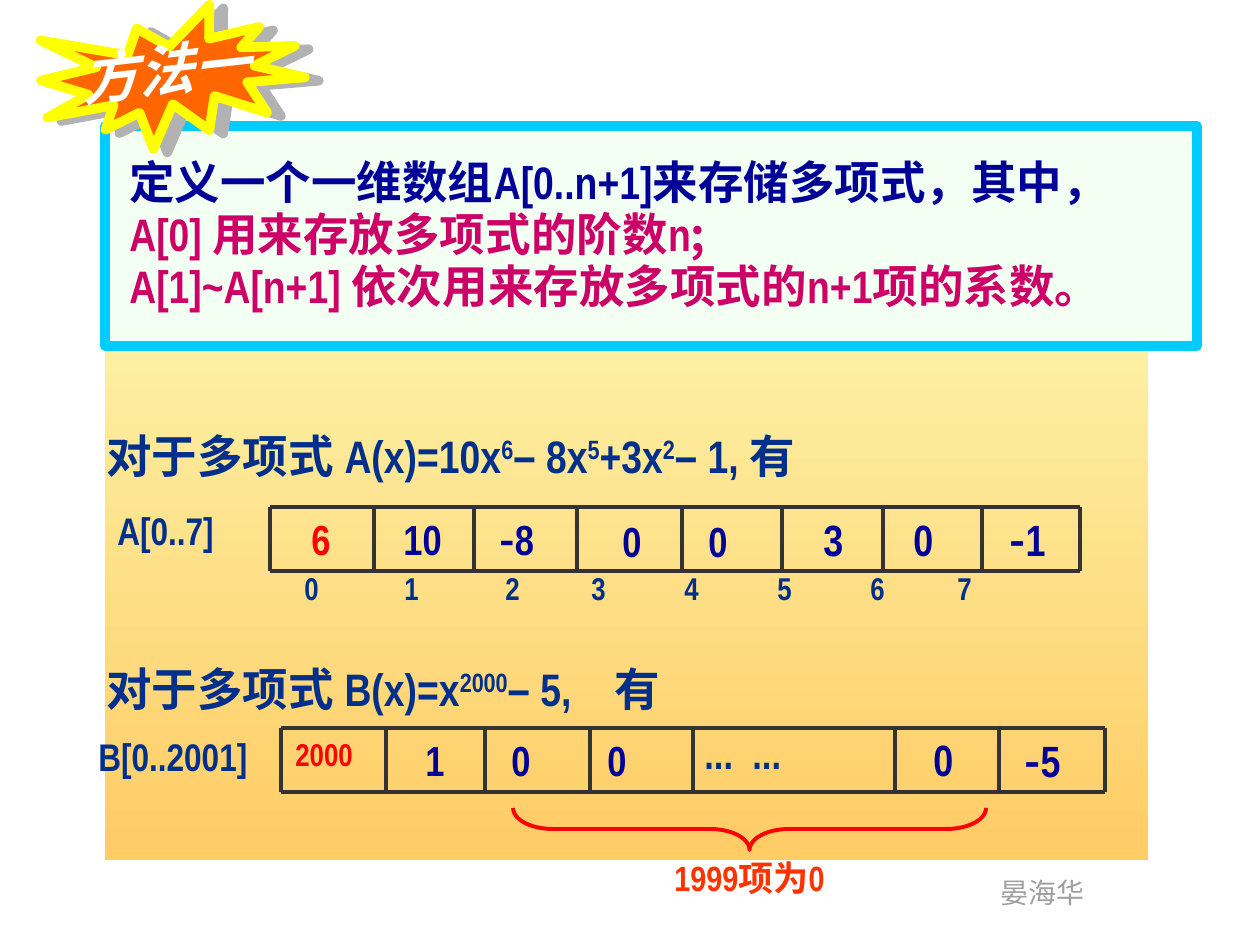
from itertools import groupby

from lxml.etree import SubElement, fromstring
from pptx import Presentation
from pptx.dml.color import RGBColor
from pptx.enum.shapes import MSO_CONNECTOR as Connector, MSO_SHAPE as Shape
from pptx.oxml.ns import nsdecls, qn
from pptx.util import Emu, Pt

SCALE = 914400 / 126
LATIN, CJK = "Arial Narrow", "Noto Sans CJK SC"

WHITE = RGBColor(0xFF, 0xFF, 0xFF)
NAVY = RGBColor(0x00, 0x00, 0x99)
BLUE = RGBColor(0x00, 0x2F, 0x8C)
CRIMSON = RGBColor(0xCC, 0x00, 0x66)
RED = RGBColor(0xFF, 0x00, 0x00)
VERMILION = RGBColor(0xFF, 0x33, 0x00)
ORANGE = RGBColor(0xFF, 0x66, 0x00)
YELLOW = RGBColor(0xFF, 0xFF, 0x00)
CYAN = RGBColor(0x00, 0xCC, 0xFF)
MINT = RGBColor(0xF3, 0xFF, 0xF3)
PALE_YELLOW = RGBColor(0xFC, 0xFE, 0xBC)
SAND = RGBColor(0xFF, 0xCC, 0x66)
INK = RGBColor(0x33, 0x33, 0x33)
GREY = RGBColor(0x9F, 0x9F, 0x9F)


def px(value):
    return Emu(round(value * SCALE))


def shadow_effect(color, distance, angle):
    return fromstring(
        f'<a:effectLst {nsdecls("a")}><a:outerShdw dist="{Pt(distance)}" '
        f'dir="{angle * 60000}" algn="ctr" rotWithShape="0">'
        f'<a:srgbClr val="{color}"/></a:outerShdw></a:effectLst>')


def add_shape(slide, kind, left, top, width, height, fill=None, line=None, weight=0):
    shape = slide.shapes.add_shape(kind, px(left), px(top), px(width), px(height))
    shape.shadow.inherit = False
    if fill is None:
        shape.fill.background()
    else:
        shape.fill.solid()
        shape.fill.fore_color.rgb = fill
    if line is None:
        shape.line.fill.background()
    else:
        shape.line.color.rgb = line
        shape.line.width = Pt(weight)
    return shape


def add_line(slide, x1, y1, x2, y2):
    line = slide.shapes.add_connector(Connector.STRAIGHT, px(x1), px(y1), px(x2), px(y2))
    line.line.color.rgb = INK
    line.line.width = Pt(2)
    SubElement(line._element.spPr, qn("a:effectLst"))


def run_style(character):
    """Font of a character, and whether it is an enlarged dash."""
    font = CJK if character > "\u2e80" or character in "-;" else LATIN
    return font, character == "–"


def fill_paragraph(paragraph, text, size, color, bold=True, tabs=()):
    """Write text; the parts between bars are superscript."""
    if tabs:
        tab_list = SubElement(paragraph._p.get_or_add_pPr(), qn("a:tabLst"))
        for tab in tabs:
            SubElement(tab_list, qn("a:tab"), pos=str(px(tab)), algn="l")
    for index, part in enumerate(text.split("|")):
        for (font, is_dash), characters in groupby(part, run_style):
            run = paragraph.add_run()
            run.text = "".join(characters)
            run.font.size = Pt(size + 2 if is_dash else size)
            run.font.bold = bold
            run.font.color.rgb = color
            run.font.name = font
            properties = run._r.get_or_add_rPr()
            SubElement(properties, qn("a:ea"), typeface=font)
            if index % 2:
                properties.set("baseline", "30000")


def add_text(slide, left, top, width, height, text, size, color, bold=True, tabs=()):
    box = slide.shapes.add_textbox(px(left), px(top), px(width), px(height))
    box.text_frame.word_wrap = True
    fill_paragraph(box.text_frame.paragraphs[0], text, size, color, bold, tabs)
    return box


def add_background(slide, left, top, width, height):
    panel = add_shape(slide, Shape.RECTANGLE, left, top, width, height, SAND)
    panel.fill.gradient()
    panel.fill.gradient_angle = 270
    for stop, color, position in zip(panel.fill.gradient_stops, (PALE_YELLOW, SAND), (0, 1)):
        stop.color.rgb = color
        stop.position = position
    add_text(slide, left + 883, top + 730, 130, 47, "晏海华", 16, GREY, bold=False)


def add_definition(slide, left, top, width, height):
    add_shape(slide, Shape.RECTANGLE, left, top, width, height, MINT, CYAN, 5.5)
    lines = (("定义一个一维数组A[0..n+1]来存储多项式，其中，", NAVY),
             ("A[0] 用来存放多项式的阶数n;", CRIMSON),
             ("A[1]~A[n+1] 依次用来存放多项式的n+1项的系数。", CRIMSON))
    box = slide.shapes.add_textbox(px(left - 8), px(top + 26), px(width - 2), px(170))
    frame = box.text_frame
    frame.word_wrap = True
    for index, (text, color) in enumerate(lines):
        paragraph = frame.add_paragraph() if index else frame.paragraphs[0]
        paragraph._p.get_or_add_pPr().set("marL", str(px(20)))
        paragraph.line_spacing = 0.95
        fill_paragraph(paragraph, text, 26, color)


def add_badge(slide, left, top, width, height):
    star = add_shape(slide, Shape.EXPLOSION1, left, top, width, height, ORANGE, YELLOW, 5.5)
    star.rotation = 352.9
    properties = star._element.spPr
    properties.remove(properties.find(qn("a:effectLst")))
    properties.append(shadow_effect("B2B2B2", 8.2, 14))
    title = add_text(slide, left + 26, top + 13, 315, 81, "方法一", 32, WHITE)
    title.rotation = 353.6
    run = title.text_frame.paragraphs[0].runs[0]
    run.font.italic = True
    run._r.get_or_add_rPr().insert(1, shadow_effect("000000", 2.5, 45))


def add_array(slide, left, top, width, height, dividers, values):
    """Cell borders, then values as (x, y, width, text, size, color, tabs)."""
    for y in (top, top + height):
        add_line(slide, left, y, left + width, y)
    for x in (0, *dividers, width):
        add_line(slide, left + x, top, left + x, top + height)
    for x, y, text_width, text, size, color, tabs in values:
        add_text(slide, left + x, top + y, text_width, 64, text, size, color, tabs=tabs)


def add_array_a(slide, left, top, width, height):
    add_text(slide, left - 176, top - 89, 829, 72,
             "对于多项式 A(x)=10x|6|– 8x|5|+3x|2|– 1, 有", 26, BLUE)
    add_array(slide, left, top, width, height, (104, 204, 307, 412, 512, 613, 712), (
        (-165, -6, 169, "A[0..7]", 22, BLUE, ()),
        (29, 0, 79, "6", 24, RED, ()),
        (121, 0, 265, "10\t-8", 24, NAVY, (96,)),
        (340, 2, 228, "0\t0", 24, NAVY, (86,)),
        (541, 0, 179, "3\t0", 25, NAVY, (90,)),
        (727, 0, 164, "-1", 25, NAVY, ()),
        (22, 56, 824, "\t".join("01234567"), 18, BLUE,
         (100, 201, 287, 380, 473, 566, 653))))


def add_array_b(slide, left, top, width, height):
    add_text(slide, left - 187, top - 77, 693, 72,
             "对于多项式 B(x)=x|2000|– 5,\t有", 26, BLUE, tabs=(508,))
    add_array(slide, left, top, width, height, (105, 204, 309, 412, 614, 718), (
        (-195, -1, 297, "B[0..2001]", 22, BLUE, ()),
        (2, 1, 193, "2000", 18, RED, ()),
        (132, 0, 328, "1\t0\t0", 24, NAVY, (86, 182)),
        (411, -7, 212, "...\t...", 24, BLUE, (48,)),
        (640, -1, 179, "0", 25, NAVY, ()),
        (731, 0, 164, "-5", 25, NAVY, ())))


def add_brace_note(slide, left, top, width, height):
    # The brace stands upright about the centre of its box, then turns to point down
    brace = add_shape(slide, Shape.LEFT_BRACE, left + (width - height) / 2,
                      top + (height - width) / 2, height, width, None, RED, 2.25)
    brace.adjustments[0] = 0.94
    brace.rotation = 90
    transform = brace._element.spPr.get_or_add_xfrm()
    transform.set("flipH", "1")
    transform.set("flipV", "1")
    add_text(slide, left + 149, top + 42, 236, 55, "1999项为0", 20, VERMILION)


def main():
    presentation = Presentation()
    presentation.slide_width, presentation.slide_height = px(1260), px(945)
    slide = presentation.slides.add_slide(presentation.slide_layouts[6])
    add_background(slide, 105, 139, 1043, 721)
    add_definition(slide, 105, 126, 1092, 220)
    add_badge(slide, 42, 10, 262, 136)
    add_array_a(slide, 270, 507, 810, 64)
    add_array_b(slide, 281, 728, 824, 64)
    add_brace_note(slide, 513, 808, 473, 42)
    presentation.save("out.pptx")


if __name__ == "__main__":
    main()
